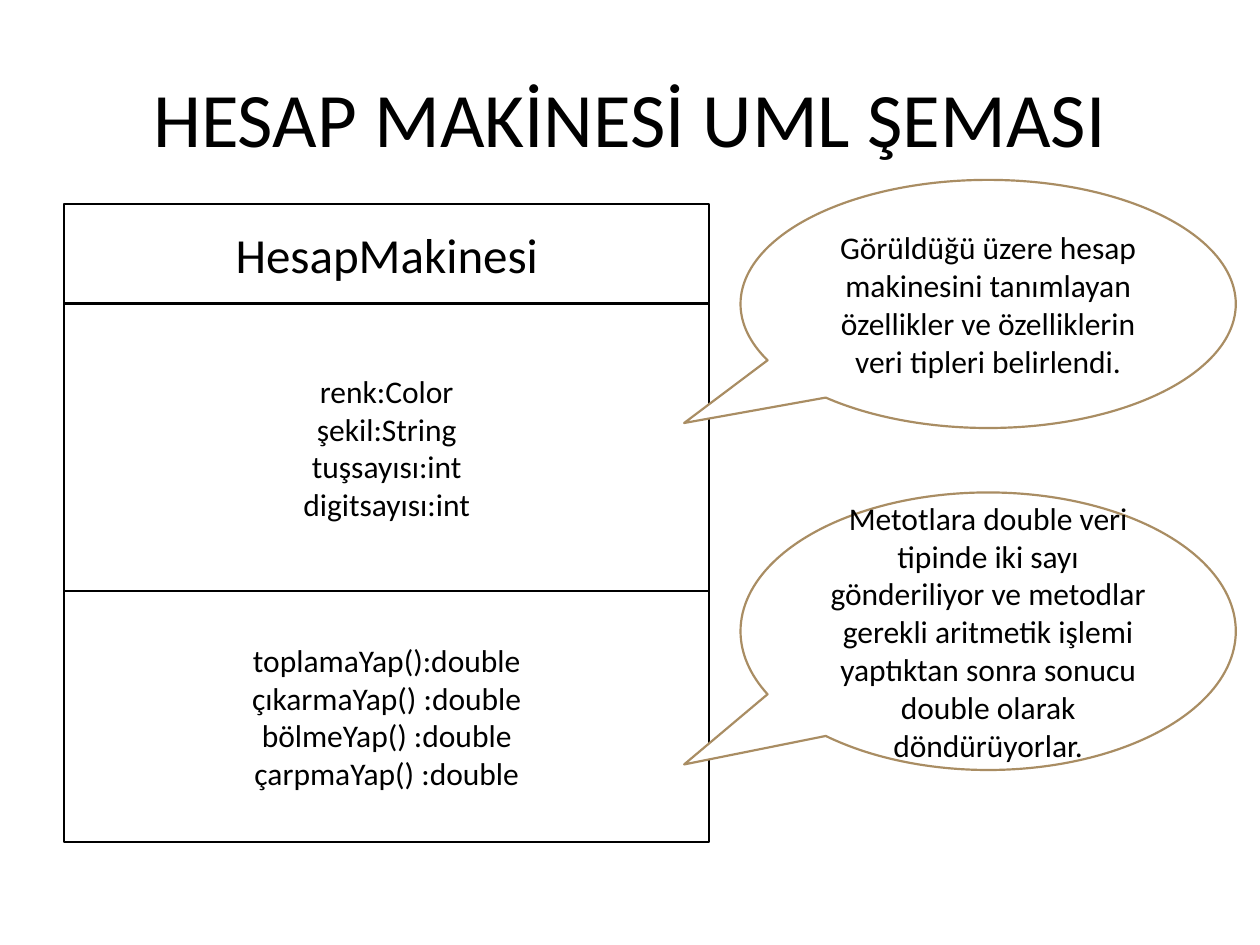
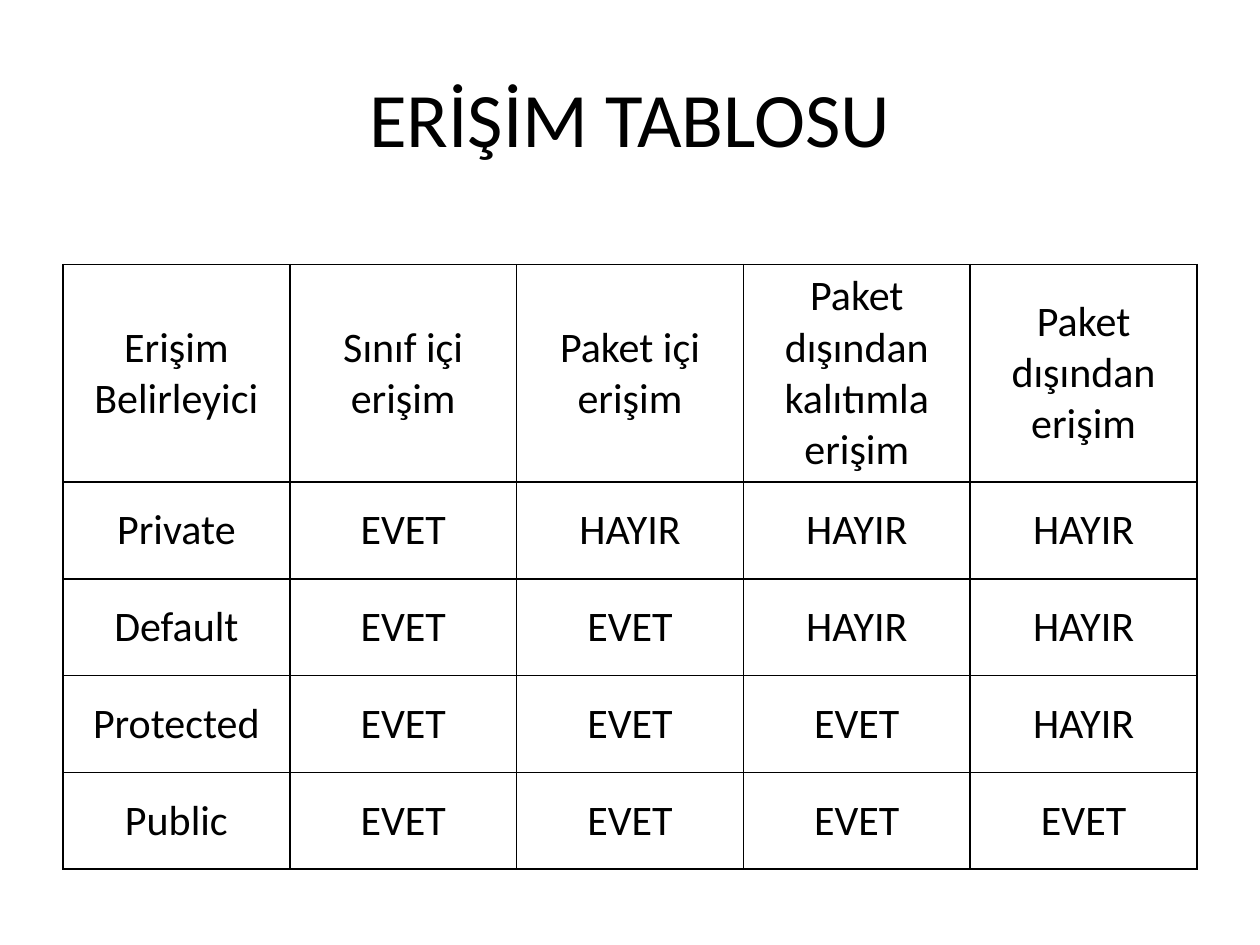
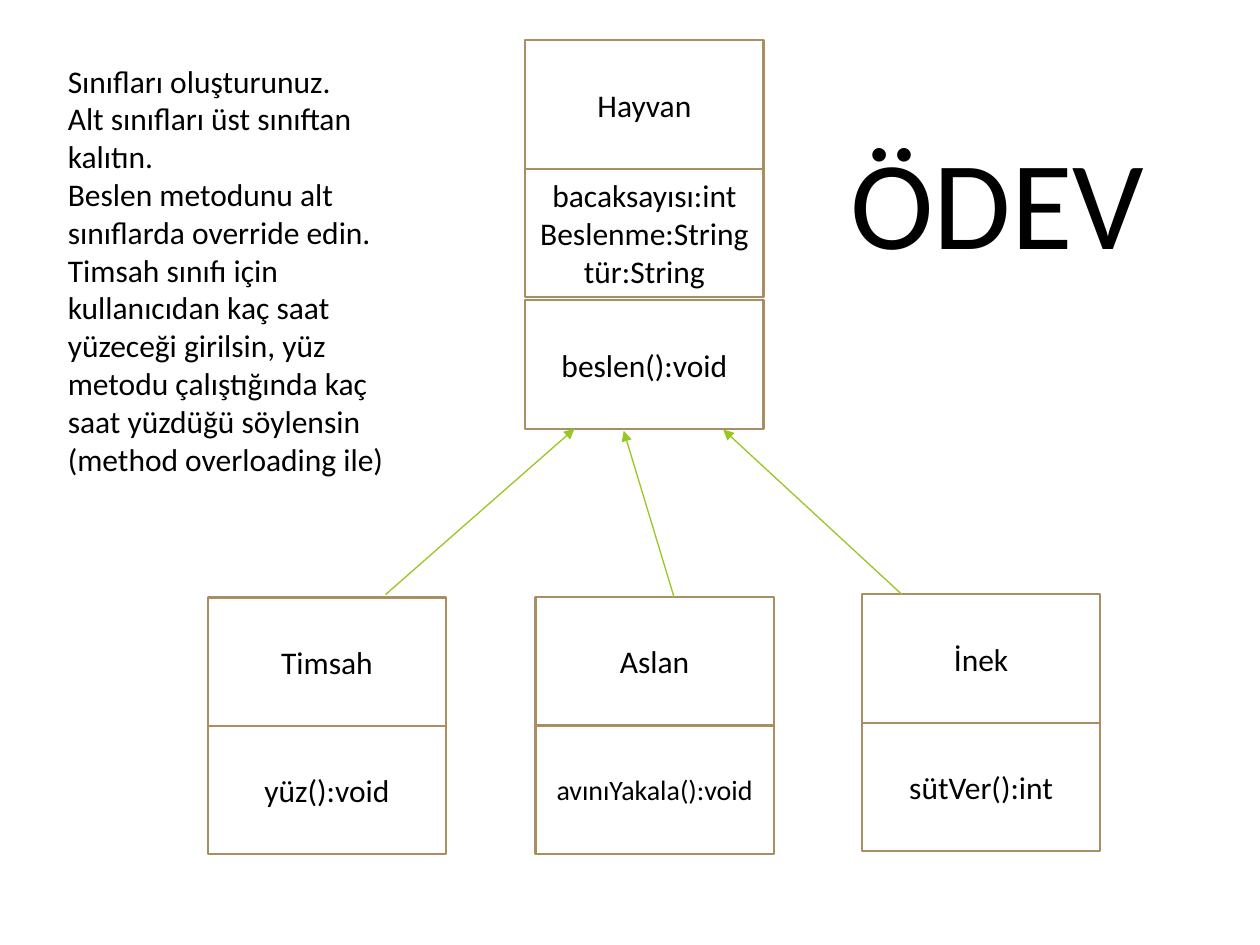
from lxml.etree import SubElement
from pptx import Presentation
from pptx.dml.color import RGBColor
from pptx.enum.shapes import MSO_CONNECTOR, MSO_SHAPE
from pptx.enum.text import MSO_ANCHOR, MSO_AUTO_SIZE, PP_ALIGN
from pptx.oxml import parse_xml
from pptx.oxml.ns import nsdecls, qn
from pptx.util import Pt

FONT = "Calibri"
BLACK = "000000"
WHITE = "FFFFFF"
TAN = "A98D63"
GREEN = "98C723"
OUTLINE = 1.25
TITLE_BOX = (36, 21.6, 648, 90)
CLASS_WIDTH, CLASS_HEIGHT = 136.1, 73.4

ACCESS_ROWS = [
    ["Erişim Belirleyici", "Sınıf içi erişim", "Paket içi erişim",
     "Paket dışından kalıtımla erişim", "Paket dışından erişim"],
    ["Private", "EVET", "HAYIR", "HAYIR", "HAYIR"],
    ["Default", "EVET", "EVET", "HAYIR", "HAYIR"],
    ["Protected", "EVET", "EVET", "EVET", "HAYIR"],
    ["Public", "EVET", "EVET", "EVET", "EVET"],
]


def color(hex_code):
    return RGBColor.from_string(hex_code)


def points(*lengths):
    return [Pt(length) for length in lengths]


def write(frame, lines, size, align=PP_ALIGN.CENTER):
    for index, line in enumerate(lines):
        paragraph = frame.add_paragraph() if index else frame.paragraphs[0]
        paragraph.alignment = align
        run = paragraph.add_run()
        run.text = line
        run.font.name = FONT
        run.font.size = Pt(size)
        run.font.color.rgb = color(BLACK)


def add_title(slide, text):
    title = slide.shapes.title
    title.left, title.top, title.width, title.height = points(*TITLE_BOX)
    title.text_frame.vertical_anchor = MSO_ANCHOR.MIDDLE
    write(title.text_frame, [text], 44)


def add_panel(slide, box, lines, size=18, line=TAN, preset=MSO_SHAPE.RECTANGLE):
    panel = slide.shapes.add_shape(preset, *points(*box))
    panel.shadow.inherit = False
    panel.fill.solid()
    panel.fill.fore_color.rgb = color(WHITE)
    panel.line.color.rgb = color(line)
    panel.line.width = Pt(OUTLINE)
    panel.text_frame.word_wrap = True
    panel.text_frame.vertical_anchor = MSO_ANCHOR.MIDDLE
    write(panel.text_frame, lines, size)
    return panel


def add_callout(slide, box, text):
    callout = add_panel(slide, box, [text], preset=MSO_SHAPE.OVAL_CALLOUT)
    callout.adjustments[0] = -0.614
    callout.adjustments[1] = 0.48


def add_label(slide, box, lines, size, wrap):
    label = slide.shapes.add_textbox(*points(*box))
    label.text_frame.word_wrap = wrap
    label.text_frame.auto_size = MSO_AUTO_SIZE.SHAPE_TO_FIT_TEXT
    write(label.text_frame, lines, size, PP_ALIGN.LEFT)


def add_class_diagram(slide, left, top, width, sections):
    for height, size, lines in sections:
        add_panel(slide, (left, top, width, height), lines, size, BLACK)
        top += height


def add_class_stack(slide, left, top, sections):
    for offset, size, lines in sections:
        add_panel(slide, (left, top + offset, CLASS_WIDTH, CLASS_HEIGHT), lines, size)


def add_inheritance_arrow(slide, start, end):
    arrow = slide.shapes.add_connector(MSO_CONNECTOR.STRAIGHT, *points(*start, *end))
    arrow.line.color.rgb = color(GREEN)
    arrow.line.width = Pt(0.75)
    SubElement(arrow.line._get_or_add_ln(), qn("a:tailEnd"), type="triangle")
    SubElement(arrow._element.spPr, qn("a:effectLst"))


def add_borders(cell):
    properties = cell._tc.get_or_add_tcPr()
    for index, side in enumerate(("lnL", "lnR", "lnT", "lnB")):
        properties.insert(index, parse_xml(
            f'<a:{side} {nsdecls("a")} w="{int(Pt(1))}"><a:solidFill>'
            f'<a:srgbClr val="{BLACK}"/></a:solidFill></a:{side}>'))


def add_access_table(slide, box, header_height, row_height):
    table = slide.shapes.add_table(
        len(ACCESS_ROWS), len(ACCESS_ROWS[0]), *points(*box)).table
    table.first_row = False
    table.horz_banding = False
    for column in table.columns:
        column.width = Pt(box[2] / len(ACCESS_ROWS[0]))
    for row_index, labels in enumerate(ACCESS_ROWS):
        table.rows[row_index].height = Pt(row_height if row_index else header_height)
        for column_index, label in enumerate(labels):
            cell = table.cell(row_index, column_index)
            cell.fill.background()
            cell.vertical_anchor = MSO_ANCHOR.MIDDLE
            write(cell.text_frame, [label], 24)
            add_borders(cell)


def build_uml_slide(slide):
    add_title(slide, "HESAP MAKİNESİ UML ŞEMASI")
    add_class_diagram(slide, 36.7, 116.6, 368.6, [
        (56.9, 28, ["HesapMakinesi"]),
        (164.2, 18, ["renk:Color", "şekil:String", "tuşsayısı:int", "digitsayısı:int"]),
        (143.3, 18, ["toplamaYap():double", "çıkarmaYap() :double",
                     "bölmeYap() :double", "çarpmaYap() :double"]),
    ])
    add_callout(slide, (423.2, 102.8, 283, 141.8),
                "Görüldüğü üzere hesap makinesini tanımlayan özellikler ve "
                "özelliklerin veri tipleri belirlendi.")
    add_callout(slide, (423.2, 281.4, 283, 158.6),
                "Metotlara double veri tipinde iki sayı gönderiliyor ve metodlar "
                "gerekli aritmetik işlemi yaptıktan sonra sonucu double olarak "
                "döndürüyorlar.")


def build_access_slide(slide):
    add_title(slide, "ERİŞİM TABLOSU")
    add_access_table(slide, (36, 151.2, 648, 343.4), 96.5, 55.3)


def build_homework_slide(slide):
    add_class_stack(slide, 300.2, 23, [
        (0, 18, ["Hayvan"]),
        (73.4, 18, ["bacaksayısı:int", "Beslenme:String", "tür:String"]),
        (148.6, 18, ["beslen():void"]),
    ])
    subclasses = [
        (118.8, 341.4, "Timsah", "yüz():void", 18),
        (306, 341.2, "Aslan", "avınıYakala():void", 16),
        (492.6, 339.6, "İnek", "sütVer():int", 18),
    ]
    for left, top, name, method, method_size in subclasses:
        add_class_stack(slide, left, top, [
            (0, 18, [name]), (CLASS_HEIGHT, method_size, [method])])
    for start, end in [((220.3, 339.8), (328.3, 245)),
                       ((385.2, 341.3), (356.4, 246.2)),
                       ((515.5, 339.8), (413.3, 245.5))]:
        add_inheritance_arrow(slide, start, end)
    add_label(slide, (31.7, 31.7, 203.8, 247), [
        "Sınıfları oluşturunuz.",
        "Alt sınıfları üst sınıftan kalıtın.",
        "Beslen metodunu alt sınıflarda override edin.",
        "Timsah sınıfı için kullanıcıdan kaç saat yüzeceği girilsin, yüz metodu "
        "çalıştığında kaç saat yüzdüğü söylensin",
        "(method overloading ile)",
    ], 18, True)
    add_label(slide, (478.8, 67, 184.3, 94.3), ["ÖDEV"], 72, False)


def main():
    presentation = Presentation()
    presentation.slide_width, presentation.slide_height = points(720, 540)
    title_only, blank = presentation.slide_layouts[5], presentation.slide_layouts[6]
    for layout, build in [(title_only, build_uml_slide),
                          (title_only, build_access_slide),
                          (blank, build_homework_slide)]:
        build(presentation.slides.add_slide(layout))
    presentation.save("out.pptx")


if __name__ == "__main__":
    main()
